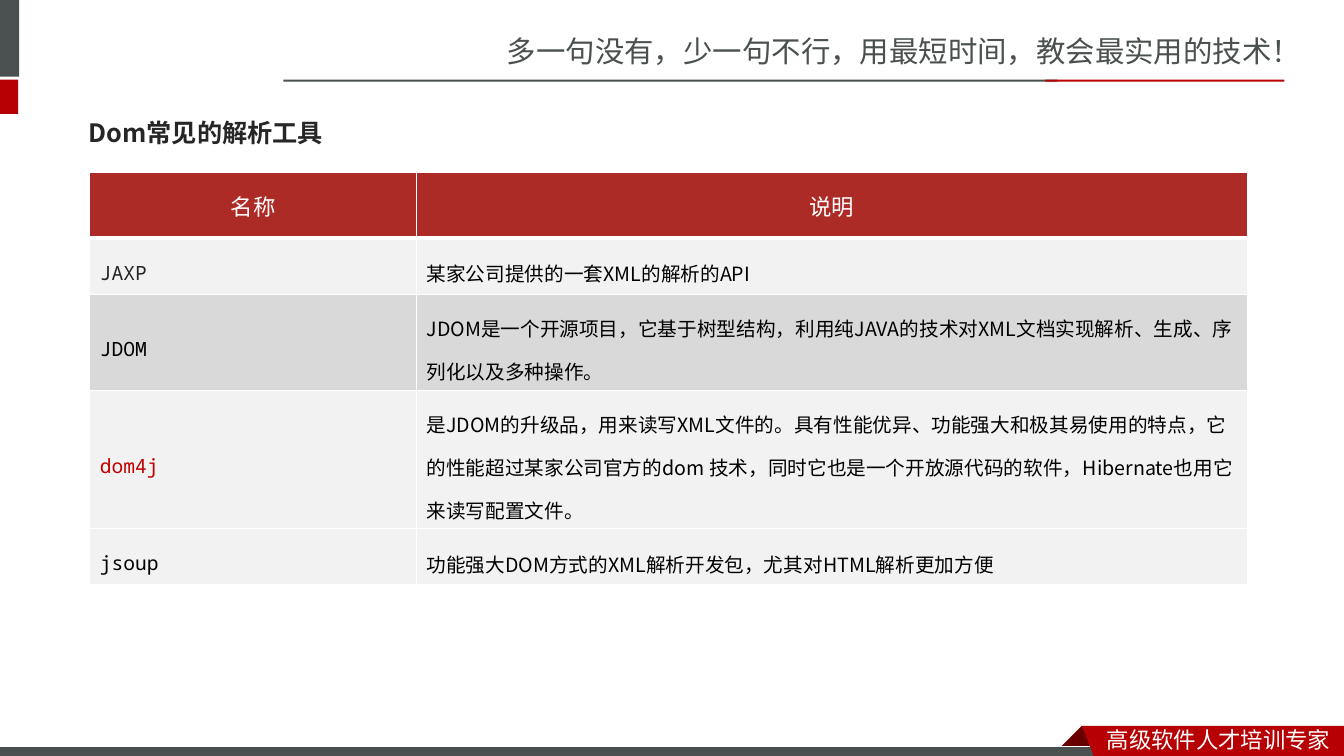
from dataclasses import dataclass
from typing import NamedTuple

from lxml import etree
from pptx import Presentation
from pptx.dml.color import RGBColor
from pptx.enum.shapes import MSO_SHAPE
from pptx.enum.text import MSO_ANCHOR, PP_ALIGN
from pptx.oxml.ns import qn
from pptx.util import Inches, Pt

RECT = MSO_SHAPE.RECTANGLE
TOP, MIDDLE = MSO_ANCHOR.TOP, MSO_ANCHOR.MIDDLE
LEFT, CENTER = PP_ALIGN.LEFT, PP_ALIGN.CENTER
WIDE, HIGH = Inches(13.33), Inches(7.5)


@dataclass(frozen=True)
class Theme:
    slate: str = "49504F"
    red: str = "B60004"
    fold: str = "680000"
    head: str = "AD2B26"
    pale: str = "F2F2F2"
    grey: str = "D9D9D9"
    ink: str = "262626"
    black: str = "000000"
    alert: str = "C00000"
    white: str = "FFFFFF"
    sans: str = "Noto Sans CJK SC"
    bold: str = "Noto Sans CJK JP"
    mono: str = "Noto Sans Mono"
    latin: str = "Calibri"
    motto: float = 21
    title: float = 18
    label: float = 16
    body: float = 14
    thin: float = 1
    thick: float = 3
    edge: float = 0.75


T = Theme()


# Boxes and points are percent shares of the slide's width and height
class Box(NamedTuple):
    x: float
    y: float
    w: float
    h: float


class Bar(NamedTuple):
    box: Box
    fill: str
    edge: str = ""


class Poly(NamedTuple):
    points: list[tuple[float, float]]
    fill: str


class Style(NamedTuple):
    font: str
    size: float
    color: str
    bold: bool = False
    align: PP_ALIGN = LEFT
    space: float | Pt = 1.0


class Label(NamedTuple):
    box: Box
    text: str
    style: Style
    anchor: MSO_ANCHOR = TOP


class Row(NamedTuple):
    high: float
    name: str
    note: str
    fill: str = T.pale
    color: str = T.black


BARS = [
    Bar(Box(-0.45, 0, 1.88, 10.13), T.slate),
    Bar(Box(-0.45, 10.53, 1.8, 4.53), T.red),
    Bar(Box(21.08, 10.53, 57.61, 0.27), T.slate),
    Bar(Box(77.79, 10.53, 17.78, 0.27), T.red),
    Bar(Box(-0.08, 98.8, 82.52, 1.6), T.slate, T.white),
]
FOLD = Poly([(80.5, 96), (82.15, 98.93), (82.07, 99.07),
             (78.92, 99.07), (78.84, 98.93)], T.fold)
RIBBON = Poly([(80.5, 96), (100, 96), (100, 100.53), (81.47, 100.4)], T.red)
LABELS = [
    Label(Box(36.98, 3.73, 63.09, 6.27), "多一句没有，少一句不行，用最短时间，教会最实用的技术！",
          Style(T.sans, T.motto, T.slate)),
    Label(Box(81.62, 95.33, 18.38, 4.93), "高级软件人才培训专家",
          Style(T.sans, T.label, T.white)),
    Label(Box(5.85, 13.73, 87.77, 7.6), "Dom常见的解析工具",
          Style(T.bold, T.title, T.ink, True), MIDDLE),
]
COLS = [24.31, 61.81]
ROWS = [
    Row(8.67, "名称", "说明", T.head, T.white),
    Row(7.47, "JAXP", "某家公司提供的一套XML的解析的API", color=T.ink),
    Row(12.67, "JDOM", "JDOM是一个开源项目，它基于树型结构，利用纯JAVA的技术对XML文档实现"
        "解析、生成、序列化以及多种操作。", T.grey),
    Row(18.27, "dom4j", "是JDOM的升级品，用来读写XML文件的。具有性能优异、功能强大和极其易使用"
        "的特点，它的性能超过某家公司官方的dom 技术，同时它也是一个开放源代码的软件，"
        "Hibernate也用它来读写配置文件。", color=T.alert),
    Row(7.47, "jsoup", "功能强大DOM方式的XML解析开发包，尤其对HTML解析更加方便"),
]


def across(share: float) -> int:
    return round(WIDE * share / 100)


def down(share: float) -> int:
    return round(HIGH * share / 100)


def place(box: Box) -> tuple[int, int, int, int]:
    return across(box.x), down(box.y), across(box.w), down(box.h)


def paint(shape, fill: str, edge: str = "") -> None:
    shape.shadow.inherit = False
    shape.fill.solid()
    shape.fill.fore_color.rgb = RGBColor.from_string(fill)
    if edge:
        shape.line.color.rgb = RGBColor.from_string(edge)
        shape.line.width = Pt(T.edge)
    else:
        shape.line.fill.background()


def write(frame, text: str, style: Style) -> None:
    frame.text = text
    para = frame.paragraphs[0]
    para.alignment, para.line_spacing = style.align, style.space
    run = para.runs[0]
    font = run.font
    font.name, font.size, font.bold = style.font, Pt(style.size), style.bold
    font.color.rgb = RGBColor.from_string(style.color)
    # East Asian glyphs need their own typeface
    east = T.bold if style.font == T.bold else T.sans
    etree.SubElement(font._element, qn("a:ea"), typeface=east)


def draw_bar(shapes, bar: Bar) -> None:
    paint(shapes.add_shape(RECT, *place(bar.box)), bar.fill, bar.edge)


def draw_poly(shapes, poly: Poly) -> None:
    first, *rest = [(across(x), down(y)) for x, y in poly.points]
    pen = shapes.build_freeform(*first, scale=1.0)
    pen.add_line_segments(rest, close=True)
    paint(pen.convert_to_shape(), poly.fill)


def draw_label(shapes, label: Label) -> None:
    frame = shapes.add_textbox(*place(label.box)).text_frame
    frame.word_wrap = True
    frame.vertical_anchor = label.anchor
    write(frame, label.text, label.style)


def rule(cell, side: str, width: float) -> None:
    props = cell._tc.get_or_add_tcPr()
    line = etree.SubElement(props, qn(f"a:ln{side}"), w=str(Pt(width)))
    fill = etree.SubElement(line, qn("a:solidFill"))
    etree.SubElement(fill, qn("a:srgbClr"), val=T.white)


def draw_cell(cell, text: str, style: Style, fill: str, rank: int) -> None:
    cell.vertical_anchor = MIDDLE
    # The rule under the header is the thick one
    thick = {"T": rank == 1, "B": rank == 0}
    for side in "LRTB":
        rule(cell, side, T.thick if thick.get(side) else T.thin)
    cell.fill.solid()
    cell.fill.fore_color.rgb = RGBColor.from_string(fill)
    write(cell.text_frame, text, style)


def draw_table(shapes) -> None:
    box = Box(6.68, 22.8, sum(COLS), sum(row.high for row in ROWS))
    table = shapes.add_table(len(ROWS), len(COLS), *place(box)).table
    table.horz_banding = False
    for col, share in zip(table.columns, COLS):
        col.width = across(share)
    for rank, row in enumerate(ROWS):
        table.rows[rank].height = down(row.high)
        if rank == 0:
            name = note = Style(T.latin, T.label, row.color, False, CENTER, Pt(24))
        else:
            name = Style(T.mono, T.body, row.color, space=1.5)
            note = Style(T.sans, T.body, T.black, space=1.5)
        draw_cell(table.cell(rank, 0), row.name, name, row.fill, rank)
        draw_cell(table.cell(rank, 1), row.note, note, row.fill, rank)


def main() -> None:
    deck = Presentation()
    deck.slide_width, deck.slide_height = WIDE, HIGH
    shapes = deck.slides.add_slide(deck.slide_layouts[6]).shapes
    # Frame: the ribbon lies over the foot bar, its fold beneath
    draw_poly(shapes, FOLD)
    for bar in BARS:
        draw_bar(shapes, bar)
    draw_poly(shapes, RIBBON)
    # Content
    for label in LABELS:
        draw_label(shapes, label)
    draw_table(shapes)
    deck.save("out.pptx")


if __name__ == "__main__":
    main()
